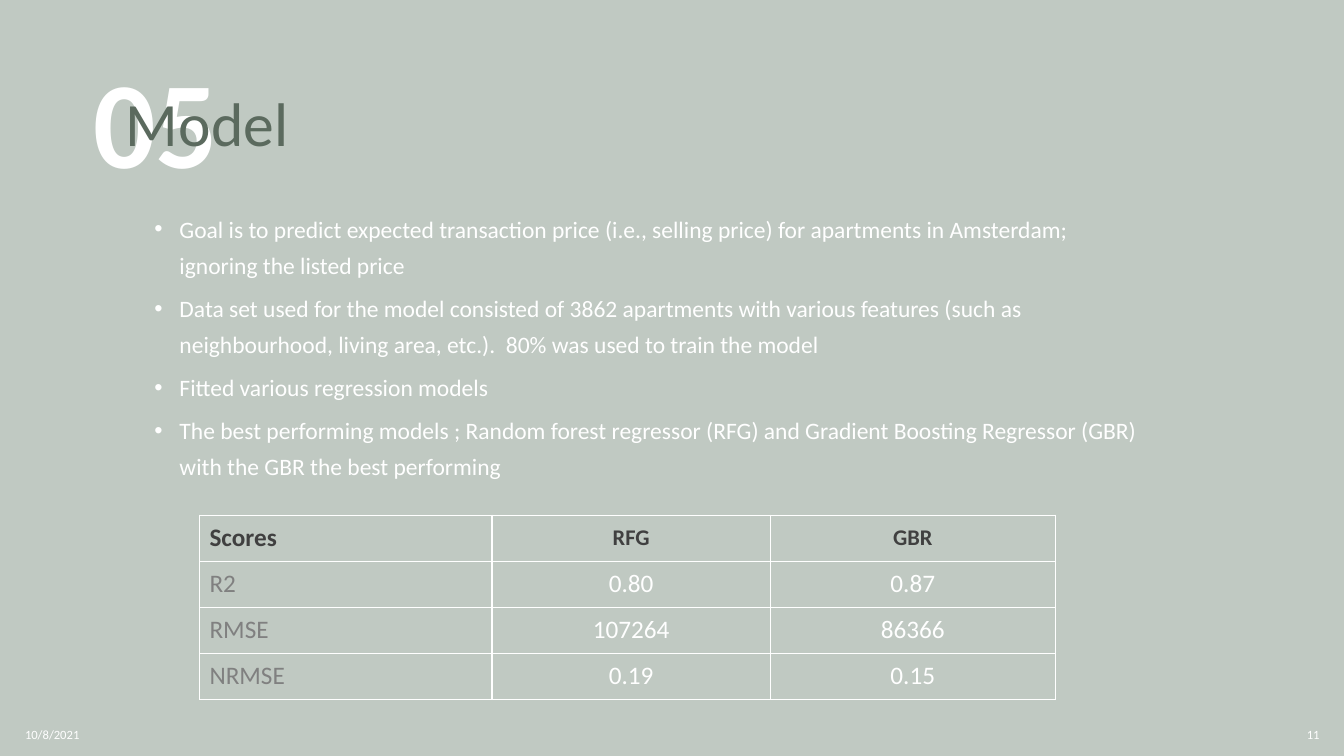
from lxml import etree
from pptx import Presentation
from pptx.dml.color import RGBColor
from pptx.enum.text import MSO_ANCHOR, MSO_AUTO_SIZE, PP_ALIGN
from pptx.oxml.ns import qn
from pptx.util import Pt

TOP, MIDDLE = MSO_ANCHOR.TOP, MSO_ANCHOR.MIDDLE
LEFT, CENTER, RIGHT = PP_ALIGN.LEFT, PP_ALIGN.CENTER, PP_ALIGN.RIGHT
NO_AUTOFIT = MSO_AUTO_SIZE.NONE
FONT = "Calibri"
COLORS = {
    "background": "C0C9C2",
    "white": "FFFFFF",
    "title": "5B6A5E",
    "header": "404040",
    "label": "808080",
}
GOALS = [
    "Goal is to predict expected transaction price (i.e., selling price) for apartments in Amsterdam; ignoring the listed price",
    "Data set used for the model consisted of 3862 apartments with various features (such as neighbourhood, living area, etc.).  80% was used to train the model",
    "Fitted various regression models",
    "The best performing models ; Random forest regressor (RFG) and Gradient Boosting Regressor (GBR) with the GBR the best performing",
]
SCORES = [
    ("Scores", "RFG", "GBR"),
    ("R2", "0.80", "0.87"),
    ("RMSE", "107264", "86366"),
    ("NRMSE", "0.19", "0.15"),
]


def color(name):
    return RGBColor.from_string(COLORS[name])


class ModelSlide:
    def __init__(self, page):
        self.page = page
        page.background.fill.solid()
        page.background.fill.fore_color.rgb = color("background")

    def style(self, para, size, tint, bold=False, align=LEFT):
        para.alignment = align
        for span in para.runs:
            span.font.name = FONT
            span.font.size = Pt(size)
            span.font.bold = bold
            span.font.color.rgb = color(tint)

    def place(self, box, left, top, width, height, anchor):
        box.left, box.top = Pt(left), Pt(top)
        box.width, box.height = Pt(width), Pt(height)
        frame = box.text_frame
        frame.word_wrap = True
        frame.auto_size = NO_AUTOFIT
        frame.vertical_anchor = anchor
        return frame

    def text(self, words, area, size, tint, bold=False, align=LEFT, anchor=MIDDLE, spacing=1.0):
        box = self.page.shapes.add_textbox(0, 0, 0, 0)
        frame = self.place(box, *area, anchor)
        frame.text = words
        para = frame.paragraphs[0]
        para.line_spacing = spacing
        self.style(para, size, tint, bold, align)
        return box

    def title(self, words, area, number_box):
        box = self.page.shapes.title
        frame = self.place(box, *area, MIDDLE)
        frame.text = words
        frame.paragraphs[0].line_spacing = 0.9
        self.style(frame.paragraphs[0], 44, "title")
        number_box._element.addnext(box._element)

    def bullets(self, items, area):
        frame = self.place(self.page.placeholders[1], *area, TOP)
        for index, item in enumerate(items):
            para = frame.add_paragraph() if index else frame.paragraphs[0]
            para.text = item
            para.level = 1
            properties = para._p.get_or_add_pPr()
            properties.set("marL", str(Pt(54)))
            properties.set("indent", str(Pt(-18)))
            etree.SubElement(properties, qn("a:buFont"), typeface="Arial")
            etree.SubElement(properties, qn("a:buChar"), char="•")
            para.line_spacing = 1.28
            para.space_before = Pt(5 if index else 0)
            self.style(para, 16.8, "white")

    def borders(self, cell):
        properties = cell._tc.get_or_add_tcPr()
        for side in ("lnL", "lnR", "lnT", "lnB"):
            line = etree.SubElement(properties, qn(f"a:{side}"), w=str(Pt(1)))
            fill = etree.SubElement(line, qn("a:solidFill"))
            etree.SubElement(fill, qn("a:srgbClr"), val=COLORS["white"])

    def table(self, rows, left, top, widths, row_height):
        table = self.page.shapes.add_table(
            len(rows), len(widths), Pt(left), Pt(top), Pt(sum(widths)), Pt(row_height * len(rows))
        ).table
        for column, width in zip(table.columns, widths):
            column.width = Pt(width)
        for row_index, row in enumerate(rows):
            table.rows[row_index].height = Pt(row_height)
            for column_index, words in enumerate(row):
                cell = table.cell(row_index, column_index)
                self.borders(cell)
                cell.fill.solid()
                cell.fill.fore_color.rgb = color("background")
                cell.vertical_anchor = MIDDLE
                cell.text = words
                is_header = row_index == 0
                is_label = column_index == 0
                tint = "header" if is_header else "label" if is_label else "white"
                size = 16 if is_header and not is_label else 18
                align = LEFT if is_label else CENTER
                self.style(cell.text_frame.paragraphs[0], size, tint, is_header, align)


def main():
    deck = Presentation()
    deck.slide_width, deck.slide_height = Pt(960), Pt(540)
    slide = ModelSlide(deck.slides.add_slide(deck.slide_layouts[1]))
    number = slide.text("05", (59.8, 41, 244.8, 105.1), 88, "white", bold=True, anchor=TOP, spacing=0.9)
    slide.title("Model", (82.8, 51.1, 707.8, 79.2), number)
    slide.text("10/8/2021", (10.8, 510.5, 216, 28.8), 9, "white")
    slide.text("11", (733.7, 510.5, 216, 28.8), 9, "white", align=RIGHT)
    slide.bullets(GOALS, (67, 144, 755.3, 210.2))
    slide.table(SCORES, 142.5, 368, (209, 198.7, 203.7), 32.9)
    deck.save("out.pptx")


if __name__ == "__main__":
    main()
